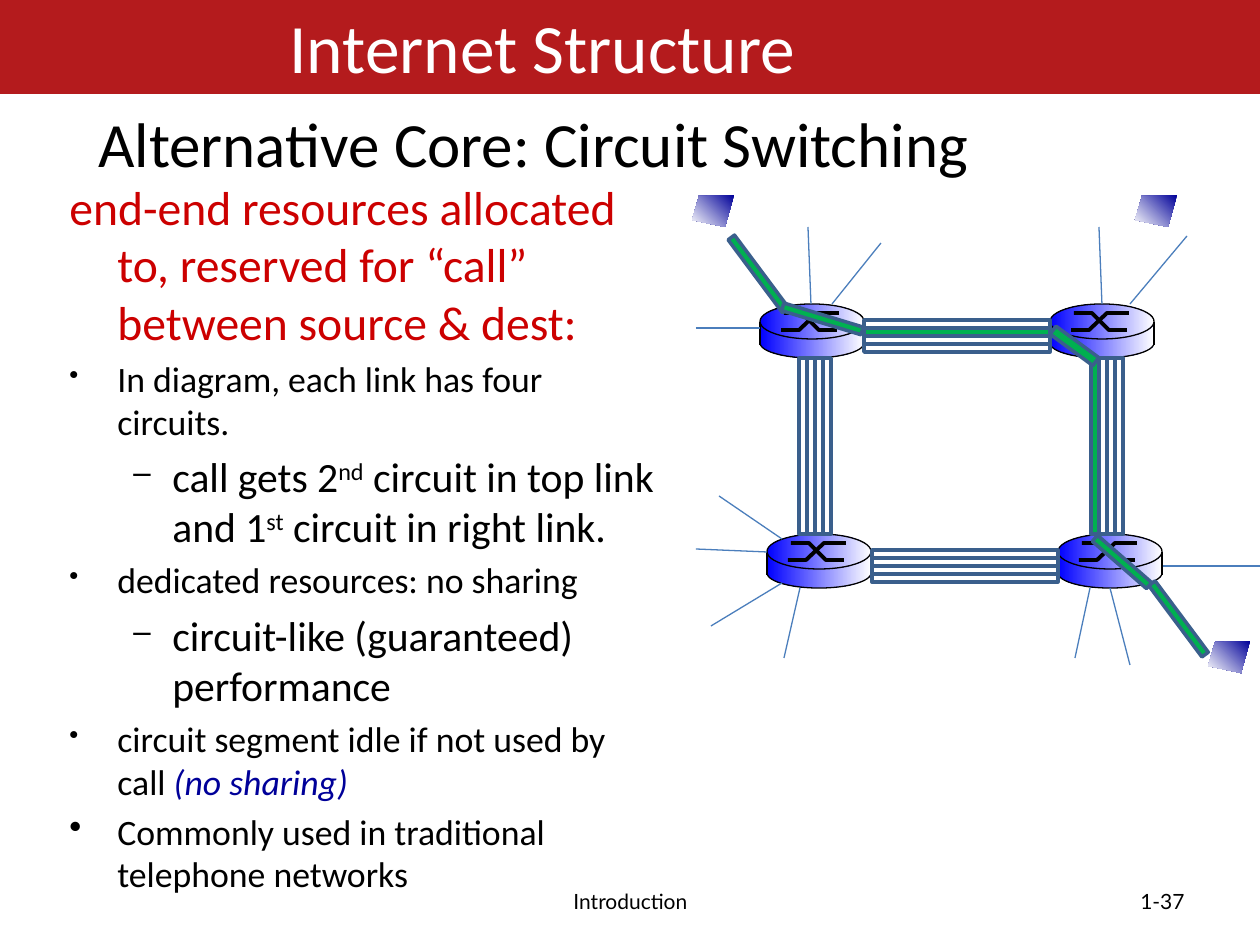
import pptx
import pptx.dml.color
import pptx.enum.shapes
import pptx.enum.text
import pptx.oxml.ns
import pptx.util
from lxml import etree

PX = 914400 / 126
SHAPE = pptx.enum.shapes.MSO_SHAPE
ALIGN = pptx.enum.text.PP_ALIGN
ANCHOR = pptx.enum.text.MSO_ANCHOR

RED, BLACK, WHITE = "B41B1D", "000000", "FFFFFF"
GREEN, EDGE, SPOKE = "00B050", "3A5F8C", "4B7EBC"
ROUTER_FILL = ("0000FF", WHITE, 0)
HOST_FILL = ("000099", WHITE, 225)

TOP = dict(size=20.4, left=48, hang=48, bullet="•", bullet_pct=75, before=4)
SUB = dict(size=23.8, left=103, hang=39, bullet="–", bullet_pct=75, before=5)
SUPER = dict(baseline=30000)
BODY = [
    ([("end-end resources allocated to, reserved for “call” between source & dest:", {})],
     dict(size=27.2, color="CC0000", left=48, hang=48)),
    ([("In diagram, each link has four circuits.", {})], TOP),
    ([("call gets 2", {}), ("nd", SUPER), (" circuit in top link and 1", {}),
      ("st", SUPER), (" circuit in right link.", {})], SUB),
    ([("dedicated resources: no sharing", {})], TOP),
    ([("circuit-like (guaranteed) performance", {})], SUB),
    ([("circuit segment idle if not used by call ", {}),
      ("(no sharing)", dict(color="000099", italic=True))], TOP),
    ([("Commonly used in traditional telephone networks", {})], dict(TOP, bullet_pct=100)),
]

ROUTERS = [(760, 304), (1050, 304), (767, 534), (1058, 534)]
ROUTER_BODY = [
    (SHAPE.OVAL, 24, 30, BLACK),
    (SHAPE.RECTANGLE, 21, 19, None),
    (SHAPE.OVAL, 0, 35, BLACK),
]
ROUTER_W = 104
CROSS = [
    [(21, 26), (39, 26), (57, 9), (79, 9)],
    [(24, 9), (42, 9), (59, 26), (77, 26)],
]

HOSTS = [(692, 195), (1135, 195), (1208, 641)]
HOST_OUTLINE = [(42, 0), (7, 1), (0, 25), (33, 32)]

CIRCUITS, PITCH = 4, 8
LINKS = [
    (864, 320, 186, "h", 1),
    (799, 358, 176, "v", None),
    (872, 550, 186, "h", None),
    (1091, 358, 176, "v", 0),
]
CALL_BARS = [
    (713, 270, 91, 8, 53.3),
    (1134, 615, 89, 8, 53.3),
    (781, 315, 83, 8, 16.9),
    (1086, 558, 72, 8, 41.1),
    (1048, 341, 53, 10, 36.3),
]
SPOKES = [
    (808, 227, 811, 304), (881, 243, 832, 304), (696, 328, 760, 328),
    (696, 549, 767, 552), (719, 496, 782, 539), (711, 626, 782, 583),
    (784, 658, 800, 588), (1260, 566, 1163, 566), (1130, 665, 1110, 588),
    (1075, 658, 1090, 588), (1099, 227, 1102, 304), (1187, 236, 1130, 304),
]


def emu(*lengths):
    return [round(v * PX) for v in lengths]


def rgb(color):
    return pptx.dml.color.RGBColor.from_string(color)


def paint(sp, fill=None, line=None, width=0.75):
    sp.shadow.inherit = False
    if fill is None:
        sp.fill.background()
    elif isinstance(fill, tuple):
        start, end, angle = fill
        sp.fill.gradient()
        sp.fill.gradient_angle = angle
        for stop, color in zip(sp.fill.gradient_stops, (start, end)):
            stop.color.rgb = rgb(color)
    else:
        sp.fill.solid()
        sp.fill.fore_color.rgb = rgb(fill)
    if line is None:
        sp.line.fill.background()
    else:
        sp.line.color.rgb = rgb(line)
        sp.line.width = pptx.util.Pt(width)
    return sp


def add_shape(s, kind, x, y, w, h, **look):
    return paint(s.shapes.add_shape(kind, *emu(x, y, w, h)), **look)


def add_path(s, x, y, points, close, **look):
    (x0, y0), *rest = [(x + dx, y + dy) for dx, dy in points]
    builder = s.shapes.build_freeform(x0, y0, scale=PX)
    builder.add_line_segments(rest, close=close)
    return paint(builder.convert_to_shape(), **look)


def add_line(s, x1, y1, x2, y2, color):
    line = s.shapes.add_connector(pptx.enum.shapes.MSO_CONNECTOR.STRAIGHT, *emu(x1, y1, x2, y2))
    line.line.color.rgb = rgb(color)
    line.line.width = pptx.util.Pt(0.75)
    etree.SubElement(line._element.spPr, pptx.oxml.ns.qn("a:effectLst"))


def add_text(p, runs, size=20, color=BLACK, font="Calibri", align=ALIGN.LEFT,
             left=0, hang=0, bullet=None, bullet_pct=100, before=0):
    p.alignment = align
    p.space_before = pptx.util.Pt(before)
    pPr = p._p.get_or_add_pPr()
    pPr.set("marL", str(emu(left)[0]))
    pPr.set("indent", str(emu(-hang)[0]))
    if bullet:
        etree.SubElement(pPr, pptx.oxml.ns.qn("a:buSzPct"), val=str(bullet_pct * 1000))
        etree.SubElement(pPr, pptx.oxml.ns.qn("a:buChar"), char=bullet)
    for text, extra in runs:
        r = p.add_run()
        r.text = text
        r.font.size = pptx.util.Pt(size)
        r.font.name = font
        r.font.color.rgb = rgb(extra.get("color", color))
        r.font.italic = extra.get("italic", False)
        if "baseline" in extra:
            r._r.get_or_add_rPr().set("baseline", str(extra["baseline"]))


def fill_box(sp, paragraphs, anchor=ANCHOR.TOP, wrap=True):
    tf = sp.text_frame
    tf.word_wrap = wrap
    tf.vertical_anchor = anchor
    for i, (runs, style) in enumerate(paragraphs):
        add_text(tf.add_paragraph() if i else tf.paragraphs[0], runs, **style)


def add_box(s, x, y, w, h, paragraphs, **frame):
    fill_box(s.shapes.add_textbox(*emu(x, y, w, h)), paragraphs, **frame)


def add_router(s, x, y):
    for kind, dy, h, line in ROUTER_BODY:
        add_shape(s, kind, x, y + dy, ROUTER_W, h, fill=ROUTER_FILL, line=line)
    for points in CROSS:
        add_path(s, x, y, points, False, line=BLACK, width=2.25)
    for side in (x, x + ROUTER_W):
        add_line(s, side, y + 18, side, y + 41, BLACK)


def add_link(s, x, y, length, direction, used):
    for i in range(CIRCUITS):
        if direction == "h":
            box = (x, y + i * PITCH, length, PITCH)
        else:
            box = (x + i * PITCH, y, PITCH, length)
        add_shape(s, SHAPE.RECTANGLE, *box, fill=GREEN if i == used else None, line=EDGE, width=2)


def main():
    prs = pptx.Presentation()
    prs.slide_width, prs.slide_height = emu(1260, 945)
    s = prs.slides.add_slide(prs.slide_layouts[5])

    title = s.shapes.title
    title.left, title.top, title.width, title.height = emu(0, -2, 1085, 94)
    fill_box(title, [([("Internet Structure", {})],
                      dict(size=39.6, color=WHITE, align=ALIGN.CENTER))])
    banner = add_shape(s, SHAPE.RECTANGLE, 0, 0, 1260, 94, fill=RED)
    title._element.addprevious(banner._element)

    add_box(s, 86, 98, 903, 89,
            [([("Alternative Core: Circuit Switching", {})], dict(size=36))], wrap=False)
    add_box(s, 57, 172, 615, 640, BODY)
    for x, w, text, align in [(431, 399, "Introduction", ALIGN.CENTER),
                              (903, 294, "1-37", ALIGN.RIGHT)]:
        add_box(s, x, 876, w, 50, [([(text, {})], dict(size=12, font="Lato", align=align))],
                anchor=ANCHOR.MIDDLE)

    for x, y in HOSTS:
        add_path(s, x, y, HOST_OUTLINE, True, fill=HOST_FILL)
    for x, y in ROUTERS:
        add_router(s, x, y)
    for link in LINKS:
        add_link(s, *link)
    for spoke in SPOKES:
        add_line(s, *spoke, SPOKE)
    for x, y, w, h, angle in CALL_BARS:
        bar = add_shape(s, SHAPE.RECTANGLE, x, y, w, h, fill=GREEN, line=EDGE, width=2)
        bar.rotation = angle

    prs.save("out.pptx")


if __name__ == "__main__":
    main()
